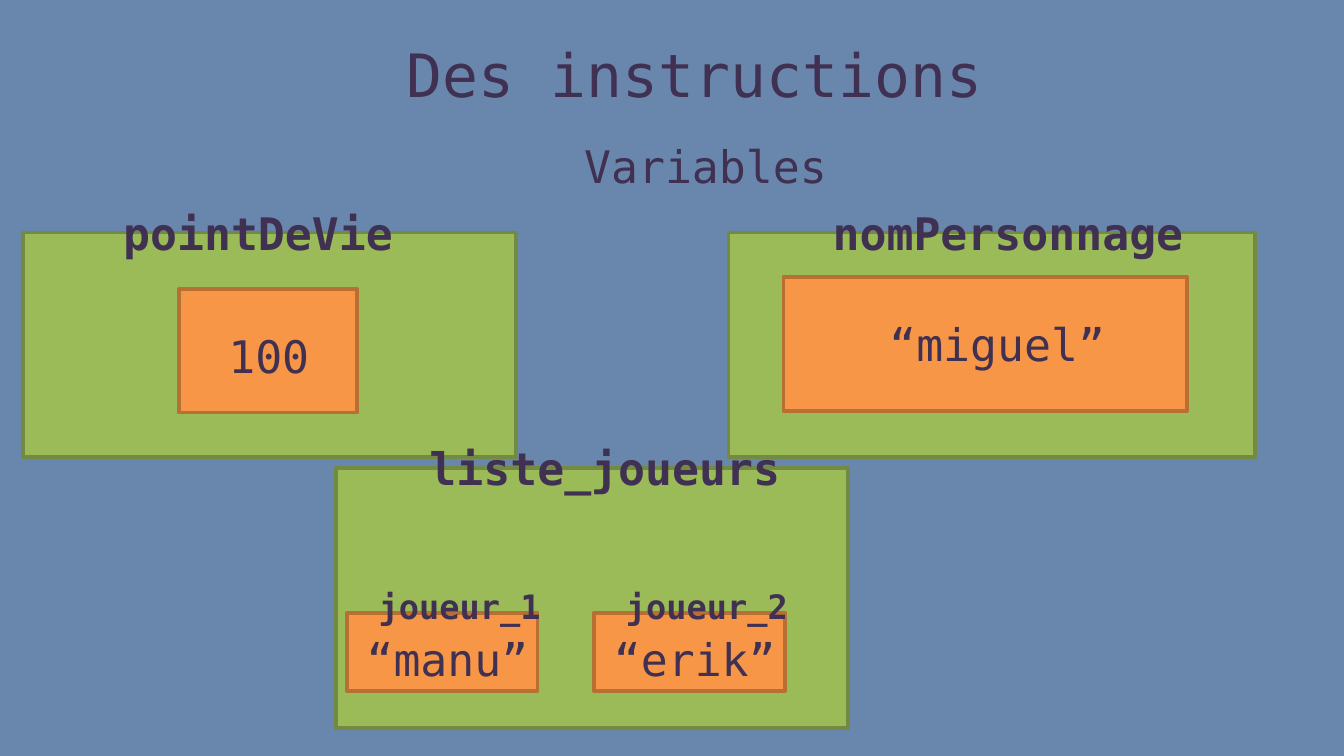
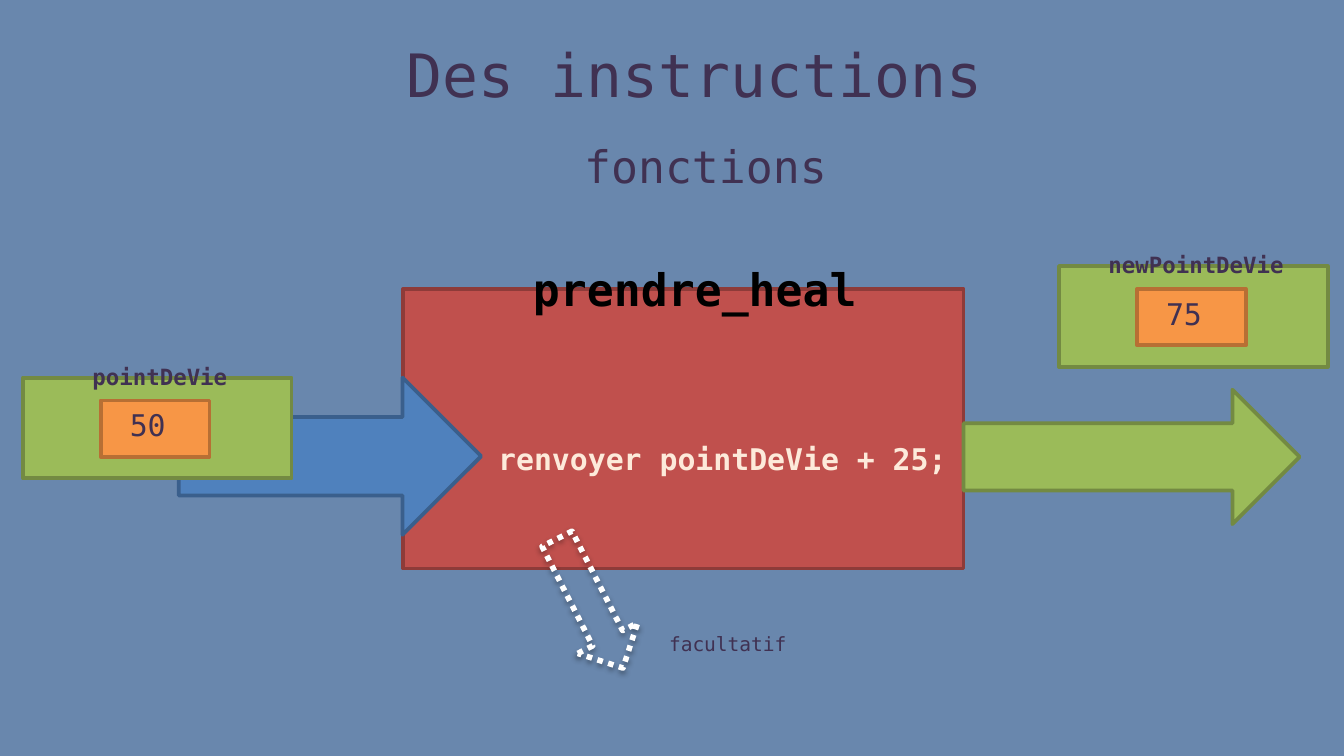
from dataclasses import dataclass

from lxml import etree
from pptx import Presentation
from pptx.dml.color import RGBColor
from pptx.enum import dml, shapes, text
from pptx.oxml import ns
from pptx.util import Inches, Pt


@dataclass(frozen=True)
class Theme:
    font: str = "DejaVu Sans Mono"
    background: str = "376092"
    background_opacity: int = 75
    ink: str = "403152"
    black: str = "000000"
    white: str = "FFFFFF"
    cream: str = "FDEADA"
    # (fill, line) pairs
    green: tuple = ("9BBB59", "738A42")
    orange: tuple = ("F79646", "B76F34")
    red: tuple = ("C0504D", "8E3B39")
    blue: tuple = ("4F81BD", "3A5F8C")
    # (type size, height of a one-line text box)
    title: tuple = (32, 0.64)
    large: tuple = (24, 0.5)
    medium: tuple = (18, 0.4)
    code: tuple = (16, 0.37)
    small: tuple = (12, 0.3)
    note: tuple = (10.5, 0.28)


def set_opacity(color, percent):
    etree.SubElement(color, ns.qn("a:alpha"), val=str(percent * 1000))


class Deck:
    def __init__(self, theme):
        self.theme = theme
        self.presentation = Presentation()
        # 16:9 page
        self.presentation.slide_width = Inches(10)
        self.presentation.slide_height = Inches(10 * 9 / 16)
        self.slide = None

    def add_slide(self, subtitle):
        self.slide = self.presentation.slides.add_slide(self.presentation.slide_layouts[6])
        fill = self.slide.background.fill
        fill.solid()
        fill.fore_color.rgb = RGBColor.from_string(self.theme.background)
        color = next(self.slide.element.iter(ns.qn("a:srgbClr")))
        set_opacity(color, self.theme.background_opacity)
        self.label("Des instructions", 1.17, 0.23, 8, self.theme.title)
        self.label(subtitle, 3.75, 0.98, 3, self.theme.large)

    def label(self, words, left, top, width, style, bold=False, color=None):
        size, height = style
        shape = self.slide.shapes.add_textbox(*map(Inches, (left, top, width, height)))
        frame = shape.text_frame
        frame.word_wrap = True
        frame.auto_size = text.MSO_AUTO_SIZE.SHAPE_TO_FIT_TEXT
        paragraph = frame.paragraphs[0]
        paragraph.alignment = text.PP_ALIGN.CENTER
        run = paragraph.add_run()
        run.text = words
        for name, value in {"name": self.theme.font, "size": Pt(size), "bold": bold}.items():
            setattr(run.font, name, value)
        run.font.color.rgb = RGBColor.from_string(color or self.theme.ink)

    def block(self, at, colors, kind=shapes.MSO_SHAPE.RECTANGLE):
        fill, line = colors
        shape = self.slide.shapes.add_shape(kind, *map(Inches, at))
        shape.shadow.inherit = False
        if fill:
            shape.fill.solid()
            shape.fill.fore_color.rgb = RGBColor.from_string(fill)
        else:
            shape.fill.background()
        shape.line.color.rgb = RGBColor.from_string(line)
        shape.line.width = Pt(2)
        return shape

    def small_variable(self, name, value, left, top):
        theme = self.theme
        self.block((left, top, 2, 0.75), theme.green)
        self.block((left + 0.58, top + 0.17, 0.81, 0.42), theme.orange)
        self.label(value, left - 0.17, top + 0.17, 2.2, theme.code)
        self.label(name, left - 0.08, top - 0.16, 2.2, theme.small, bold=True)

    def dotted_arrow(self, at, rotation):
        shape = self.block(at, (None, self.theme.white), shapes.MSO_SHAPE.DOWN_ARROW)
        shape.rotation = rotation
        shape.line.width = Pt(3)
        shape.line.dash_style = dml.MSO_LINE.ROUND_DOT
        # Soft shadow below the outline
        effects = shape.element.spPr.find(ns.qn("a:effectLst"))
        shadow = etree.SubElement(effects, ns.qn("a:outerShdw"), blurRad=str(Pt(3.1)),
                                  dist=str(Pt(1.6)), dir="5400000", rotWithShape="0")
        set_opacity(etree.SubElement(shadow, ns.qn("a:srgbClr"), val=self.theme.black), 38)


theme = Theme()
deck = Deck(theme)

# Slide 1: variables as labelled boxes
deck.add_slide("Variables")
variables = [
    # name, name left, box, value, value left and top, value box
    ("pointDeVie", 0.42, (0.17, 1.73, 3.67, 1.67), "100", (0.5, 2.4), (1.33, 2.15, 1.33, 0.92)),
    ("nomPersonnage", 6, (5.42, 1.73, 3.92, 1.67), "“miguel”", (5.92, 2.31), (5.83, 2.06, 3, 1)),
]
for name, name_left, box, value, value_at, value_box in variables:
    deck.block(box, theme.green)
    deck.block(value_box, theme.orange)
    deck.label(value, *value_at, 3, theme.large)
    deck.label(name, name_left, box[1] - 0.25, 3, theme.large, bold=True)

# List holding two players
deck.block((2.5, 3.48, 3.81, 1.94), theme.green)
deck.label("liste_joueurs", 3, 3.23, 3, theme.large, bold=True)
for index, player in enumerate(("“manu”", "“erik”")):
    left = 2.58 + index * 1.84
    deck.block((left, 4.56, 1.42, 0.58), theme.orange)
    deck.label(f"joueur_{index + 1}", left - 0.16, 4.31, 2, theme.medium, bold=True)
    deck.label(player, left - 0.75, 4.65, 3, theme.large)

# Slide 2: a function with its input and output
deck.add_slide("fonctions")
deck.block((3, 2.15, 4.17, 2.08), theme.red)
deck.block((1.33, 2.81, 2.25, 1.17), theme.blue, shapes.MSO_SHAPE.RIGHT_ARROW)
deck.block((7.17, 2.9, 2.5, 1), theme.green, shapes.MSO_SHAPE.RIGHT_ARROW)
deck.label("prendre_heal", 3.67, 1.9, 3, theme.large, bold=True, color=theme.black)
deck.small_variable("pointDeVie", "50", 0.17, 2.81)
deck.label("renvoyer pointDeVie + 25;", 3.5, 3.23, 3.75, theme.code, bold=True, color=theme.cream)
deck.small_variable("newPointDeVie", "75", 7.88, 1.98)
deck.dotted_arrow((4.14, 3.95, 0.5, 1.08), 333)
deck.label("facultatif", 4.33, 4.65, 2.17, theme.note)

deck.presentation.save("out.pptx")
